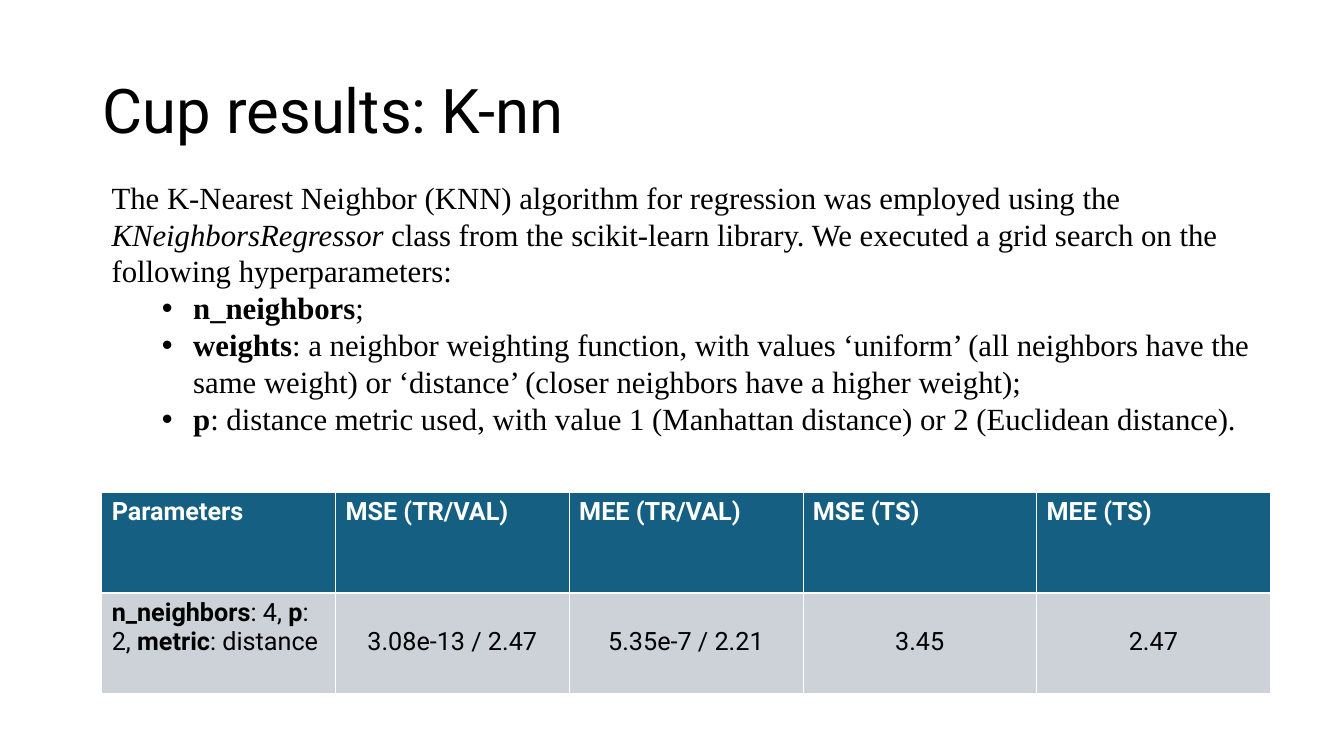
from dataclasses import dataclass

from lxml import etree
from pptx import Presentation
from pptx import util as u
from pptx.dml.color import RGBColor
from pptx.enum import text
from pptx.oxml import ns

PX = 9144  # EMU per px, 100 px to the inch

BLACK = RGBColor(0x00, 0x00, 0x00)
WHITE = RGBColor(0xFF, 0xFF, 0xFF)
TEAL = RGBColor(0x15, 0x60, 0x82)
GREY = RGBColor(0xCC, 0xD2, 0xD8)

SANS = "Roboto"
SERIF = "Times New Roman"
THIN, THICK = 0.45, 1.47


@dataclass(frozen=True)
class Box:
    left: int
    top: int
    width: int
    height: int

    def emu(self) -> list[int]:
        return [n * PX for n in (self.left, self.top, self.width, self.height)]


@dataclass(frozen=True)
class Style:
    font: str
    size: int
    color: RGBColor = BLACK


@dataclass(frozen=True)
class Piece:
    words: str
    bold: bool = False
    italic: bool = False


@dataclass(frozen=True)
class TableRow:
    cells: list[list[Piece]]
    fill: RGBColor
    style: Style
    top_border: float
    bottom_border: float


TITLE_BOX = Box(92, 40, 1150, 145)
BODY_BOX = Box(101, 172, 1150, 267)
TABLE_BOX = Box(101, 488, 1160, 200)
BULLET_LEFT, BULLET_HANG = 81, 31

INTRO = [
    Piece("The K-Nearest Neighbor (KNN) algorithm for regression was employed using the "),
    Piece("KNeighborsRegressor", italic=True),
    Piece(" class from the scikit-learn library. We executed a grid search on the "
          "following hyperparameters:"),
]
HYPERPARAMETERS = [
    ("n_neighbors", ";"),
    ("weights", ": a neighbor weighting function, with values ‘uniform’ (all neighbors have "
                "the same weight) or ‘distance’ (closer neighbors have a higher weight);"),
    ("p", ": distance metric used, with value 1 (Manhattan distance) or 2 (Euclidean distance)."),
]

HEADINGS = ["Parameters", "MSE (TR/VAL)", "MEE (TR/VAL)", "MSE (TS)", "MEE (TS)"]
BEST_PARAMETERS = [
    Piece("n_neighbors", bold=True), Piece(": 4, "),
    Piece("p", bold=True), Piece(": 2, "),
    Piece("metric", bold=True), Piece(": distance"),
]
SCORES = ["3.08e-13 / 2.47", "5.35e-7 / 2.21", "3.45", "2.47"]
RESULTS = [
    TableRow([[Piece(heading, bold=True)] for heading in HEADINGS],
             TEAL, Style(SANS, 18, WHITE), THIN, THICK),
    TableRow([BEST_PARAMETERS] + [[Piece(score)] for score in SCORES],
             GREY, Style(SANS, 18), THICK, THIN),
]


def write(paragraph, pieces: list[Piece], style: Style) -> None:
    for piece in pieces:
        run = paragraph.add_run()
        run.text = piece.words
        run.font.name = style.font
        run.font.size = u.Pt(style.size)
        run.font.color.rgb = style.color
        run.font.bold = piece.bold
        run.font.italic = piece.italic


def add_bullet(paragraph) -> None:
    properties = paragraph._p.get_or_add_pPr()
    properties.set("marL", str(BULLET_LEFT * PX))
    properties.set("indent", str(-BULLET_HANG * PX))
    etree.SubElement(properties, ns.qn("a:buFont"), typeface="Arial")
    etree.SubElement(properties, ns.qn("a:buChar"), char="•")


def add_text_frame(slide, box: Box):
    frame = slide.shapes.add_textbox(*box.emu()).text_frame
    frame.word_wrap = True
    return frame


def add_title(slide) -> None:
    frame = add_text_frame(slide, TITLE_BOX)
    frame.vertical_anchor = text.MSO_ANCHOR.MIDDLE
    heading = frame.paragraphs[0]
    heading.line_spacing = 0.9
    write(heading, [Piece("Cup results: K-nn")], Style(SANS, 44))


def add_body(slide) -> None:
    frame = add_text_frame(slide, BODY_BOX)
    style = Style(SERIF, 22)
    write(frame.paragraphs[0], INTRO, style)
    for name, meaning in HYPERPARAMETERS:
        item = frame.add_paragraph()
        item.level = 1
        add_bullet(item)
        write(item, [Piece(name, bold=True), Piece(meaning)], style)


def set_borders(cell, top: float, bottom: float) -> None:
    properties = cell._tc.get_or_add_tcPr()
    for side, width in (("L", THIN), ("R", THIN), ("T", top), ("B", bottom)):
        line = etree.SubElement(properties, ns.qn(f"a:ln{side}"), w=str(u.Pt(width)))
        fill = etree.SubElement(line, ns.qn("a:solidFill"))
        etree.SubElement(fill, ns.qn("a:srgbClr"), val=str(WHITE))


def add_results(slide) -> None:
    table = slide.shapes.add_table(len(RESULTS), len(HEADINGS), *TABLE_BOX.emu()).table
    table.horz_banding = False
    for r, row in enumerate(RESULTS):
        for c, pieces in enumerate(row.cells):
            cell = table.cell(r, c)
            set_borders(cell, row.top_border, row.bottom_border)
            cell.fill.solid()
            cell.fill.fore_color.rgb = row.fill
            paragraph = cell.text_frame.paragraphs[0]
            if r > 0 and c > 0:
                paragraph.alignment = text.PP_ALIGN.CENTER
                paragraph.line_spacing = 2.0
            write(paragraph, pieces, row.style)


def main() -> None:
    deck = Presentation()
    deck.slide_width, deck.slide_height = 1334 * PX, 750 * PX
    slide = deck.slides.add_slide(deck.slide_layouts[6])
    add_title(slide)
    add_results(slide)
    add_body(slide)
    deck.save("out.pptx")


if __name__ == "__main__":
    main()
